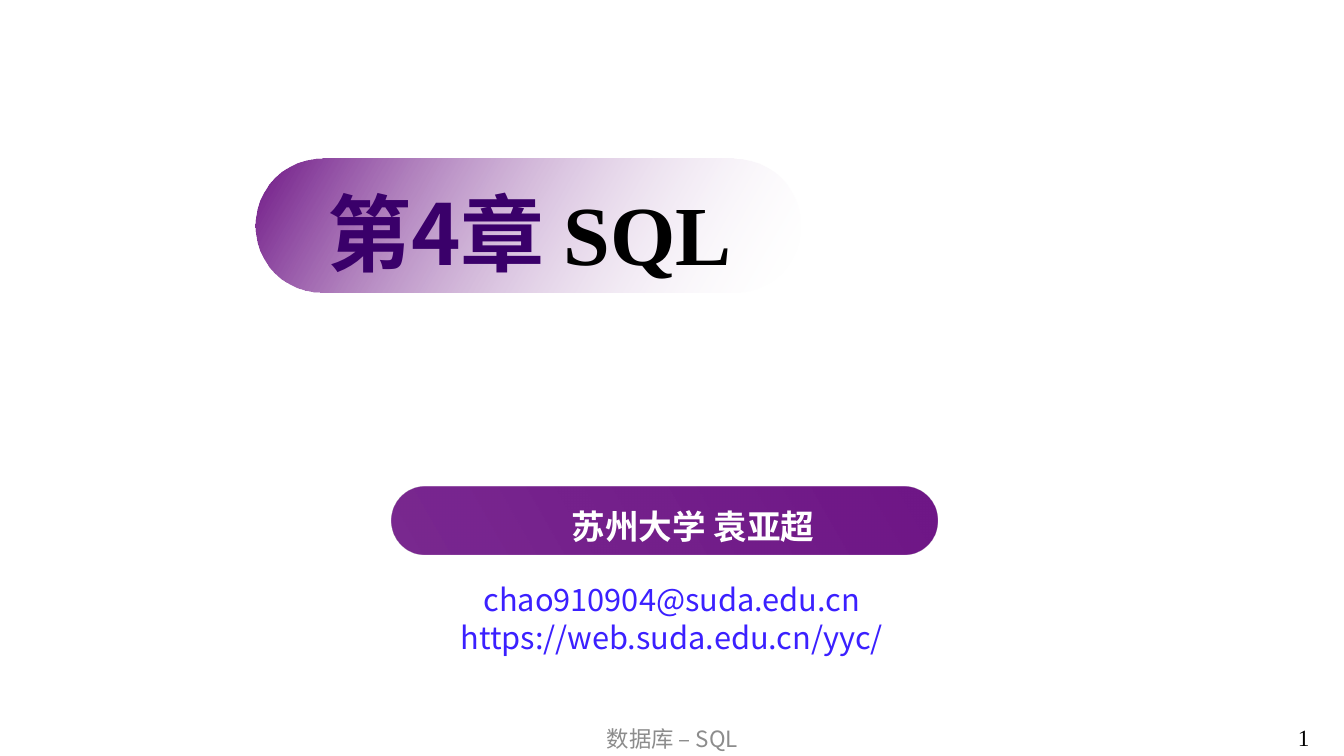
from lxml import etree
from pptx import Presentation
from pptx.dml.color import RGBColor
from pptx.enum.shapes import MSO_SHAPE
from pptx.enum.text import MSO_ANCHOR, PP_ALIGN
from pptx.oxml.ns import qn
from pptx.util import Cm, Pt

ROUNDED = MSO_SHAPE.ROUNDED_RECTANGLE
LEFT, CENTER, JUSTIFY = PP_ALIGN.LEFT, PP_ALIGN.CENTER, PP_ALIGN.JUSTIFY
TOP, MIDDLE = MSO_ANCHOR.TOP, MSO_ANCHOR.MIDDLE

THEME = {
    "sans": "Noto Sans CJK SC",
    "serif": "Times New Roman",
    "purple": "6F1787",
    "white": "FFFFFF",
    "title": "3A006A",
    "black": "000000",
    "link": "3B20FF",
    "footer": "8C8C8C",
    "title_size": 60,
    "author_size": 24,
    "contact_size": 22,
    "footer_size": 16,
    "number_size": 16.6,
}

# Gradient angles run counter-clockwise; stops are (position, colour, opacity %).
PILLS = [
    {"box": (9.88, 12.27, 13.74, 1.7), "angle": 210,
     "stops": [(0, "purple", 100), (0.99, "purple", 92)]},
    {"box": (6.43, 3.99, 13.74, 3.38), "angle": 330,
     "stops": [(0, "purple", 100), (1, "white", 0)]},
]

# Each line is a list of runs: (text, font, colour, bold).
TEXTS = [
    {"box": (12.04, 12.55, 10.85, 1.27), "size": "author_size", "pitch": 31,
     "align": CENTER, "anchor": TOP,
     "lines": [[("苏州大学 袁亚超", "sans", "white", True)]]},
    {"box": (8, 4.27, 18.54, 2.82), "size": "title_size", "pitch": 77,
     "align": JUSTIFY, "anchor": TOP,
     "lines": [[("第4章 ", "sans", "title", True), ("SQL", "serif", "black", True)]]},
    {"box": (8.56, 14.48, 16.74, 2.1), "size": "contact_size", "pitch": 27,
     "align": CENTER, "anchor": TOP,
     "lines": [[("chao910904@suda.edu.cn", "sans", "link", False)],
               [("https://web.suda.edu.cn/yyc/", "sans", "link", False)]]},
    {"box": (11.23, 18.19, 11.43, 0.86), "size": "footer_size", "pitch": None,
     "align": CENTER, "anchor": MIDDLE,
     "lines": [[("数据库 – SQL", "sans", "footer", False)]]},
    {"box": (32.46, 18.11, 1.4, 0.9), "size": "number_size", "pitch": None,
     "align": LEFT, "anchor": TOP,
     "lines": [[("1", "serif", "black", False)]]},
]


def color(name):
    return RGBColor.from_string(THEME[name])


def add_pill(slide, pill):
    shape = slide.shapes.add_shape(ROUNDED, *map(Cm, pill["box"]))
    shape.adjustments[0] = 0.5
    shape.shadow.inherit = False
    shape.line.fill.background()
    shape.fill.gradient()
    shape.fill.gradient_angle = pill["angle"]
    stops = shape.fill.gradient_stops
    for stop, (position, name, _) in zip(stops, pill["stops"]):
        stop.position = position
        stop.color.rgb = color(name)
    elements = shape.element.spPr.iter(qn("a:srgbClr"))
    for element, (_, _, opacity) in zip(elements, pill["stops"]):
        if opacity < 100:
            etree.SubElement(element, qn("a:alpha"), val=str(opacity * 1000))


def add_run(paragraph, text, font_key, color_key, bold, size):
    run = paragraph.add_run()
    run.text = text
    font_format = {"name": THEME[font_key], "size": Pt(size), "bold": bold}
    for attribute, value in font_format.items():
        setattr(run.font, attribute, value)
    run.font.color.rgb = color(color_key)
    etree.SubElement(run.font._element, qn("a:ea"), typeface=THEME[font_key])


def add_text(slide, item):
    frame = slide.shapes.add_textbox(*map(Cm, item["box"])).text_frame
    frame.word_wrap = True
    frame.vertical_anchor = item["anchor"]
    for index, line in enumerate(item["lines"]):
        paragraph = frame.add_paragraph() if index else frame.paragraphs[0]
        paragraph.alignment = item["align"]
        if item["pitch"]:
            paragraph.line_spacing = Pt(item["pitch"])
        for run in line:
            add_run(paragraph, *run, THEME[item["size"]])


def main():
    presentation = Presentation()
    presentation.slide_width, presentation.slide_height = Cm(33.87), Cm(19.05)
    slide = presentation.slides.add_slide(presentation.slide_layouts[6])
    for pill in PILLS:
        add_pill(slide, pill)
    for item in TEXTS:
        add_text(slide, item)
    presentation.save("out.pptx")


if __name__ == "__main__":
    main()
